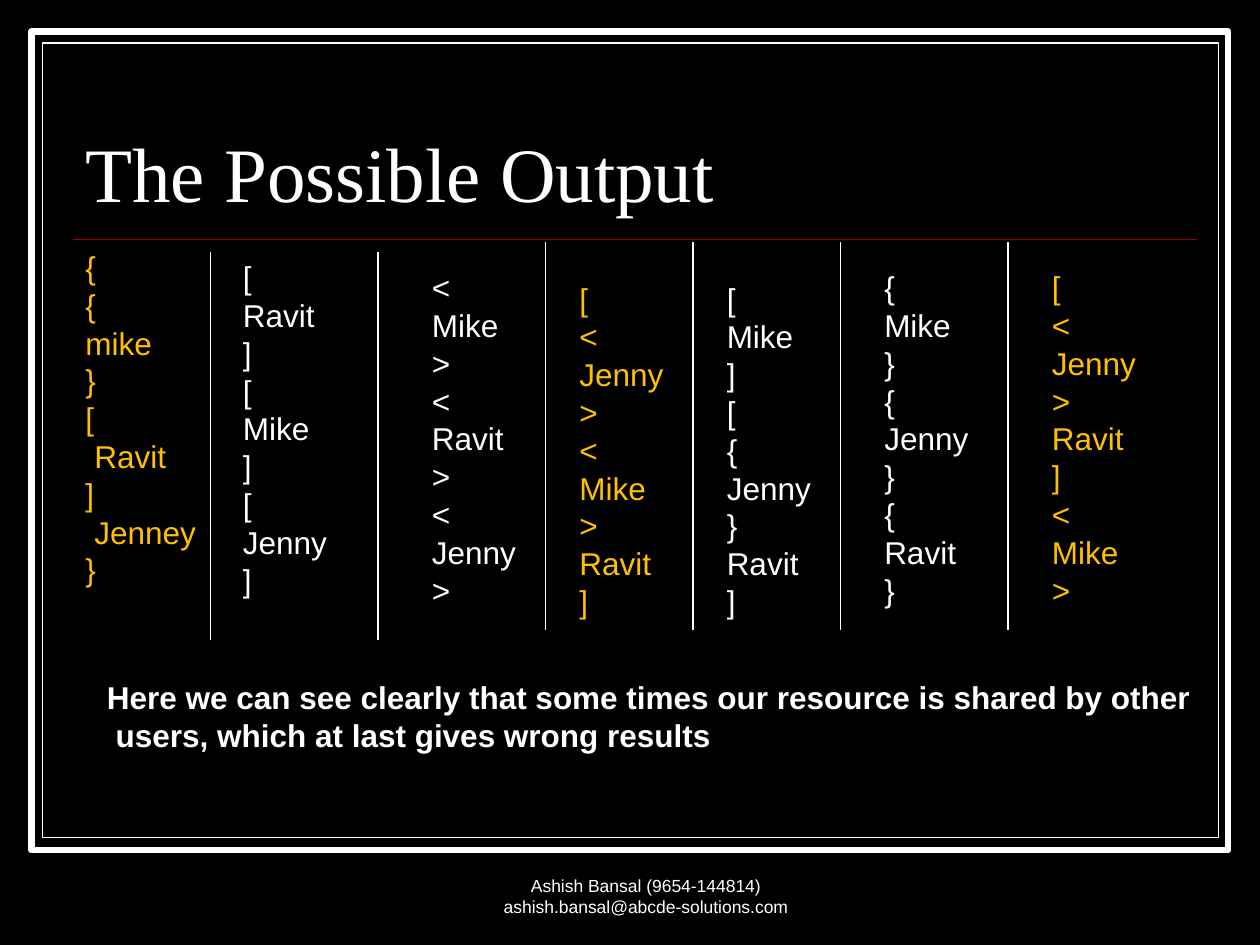
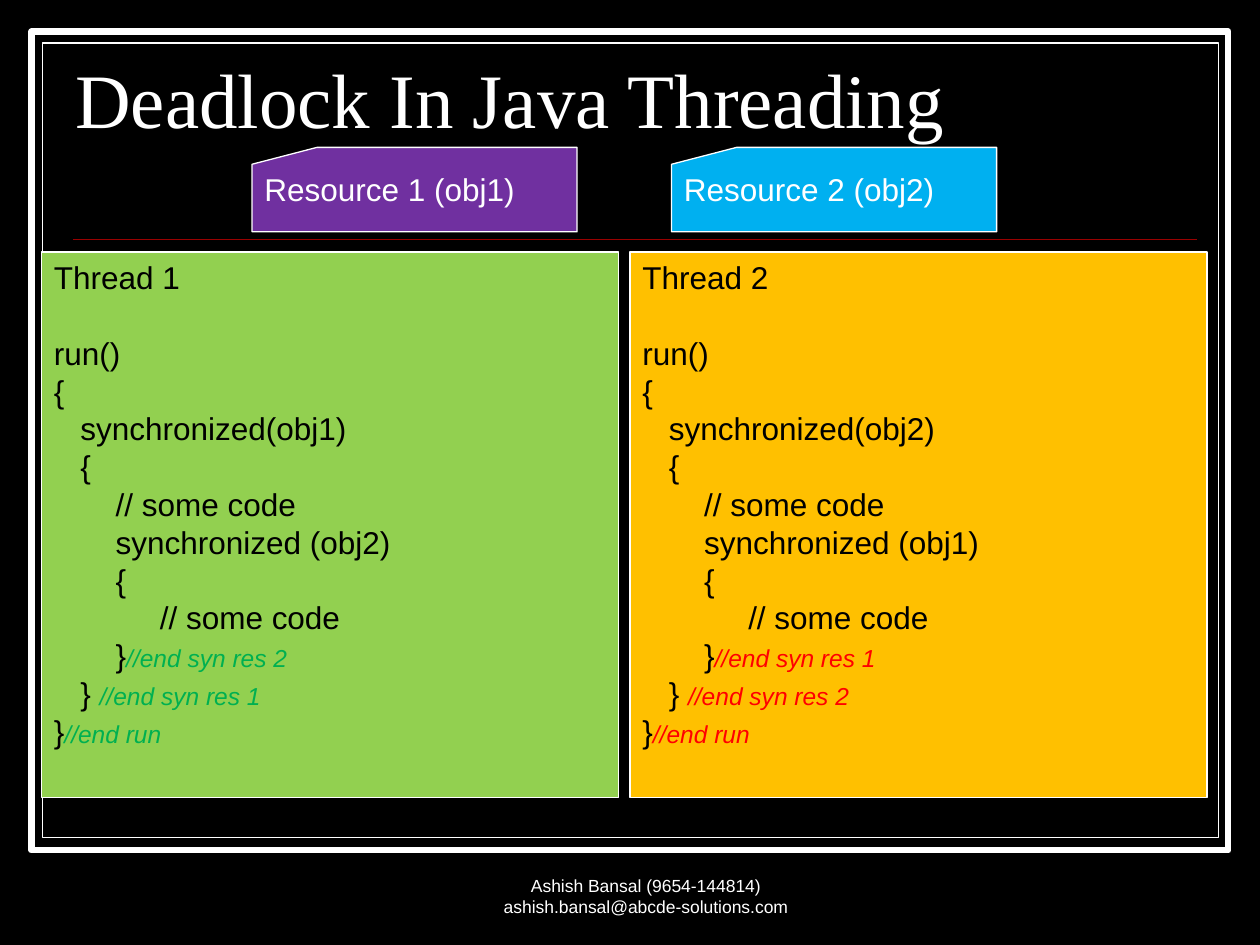
"""Build two slides on shared resources and deadlock in Java threading."""
from dataclasses import dataclass

from lxml import etree
from pptx import Presentation
from pptx.dml.color import RGBColor
from pptx.enum import shapes, text
from pptx.oxml.ns import qn
from pptx.util import Inches, Pt

BLACK, WHITE, RULE_RED, AMBER = "000000", "FFFFFF", "990000", "FFC000"
BODY_FONT, TITLE_FONT = "Arial", "Times New Roman"
BODY_SIZE, COMMENT_SIZE = 18, 14
SPACE_WIDTH = 0.07
FOOTER = "Ashish Bansal (9654-144814) ashish.bansal@abcde-solutions.com"


@dataclass(frozen=True)
class Box:
    left: float
    top: float
    width: float
    height: float

    def lengths(self):
        return [Inches(side) for side in (self.left, self.top, self.width, self.height)]


@dataclass(frozen=True)
class Style:
    size: float = BODY_SIZE
    color: str = WHITE
    font: str = BODY_FONT
    bold: bool = False
    italic: bool = False


@dataclass(frozen=True)
class Line:
    content: str
    spaces: int = 0
    comment: str = ""
    gap_after: float = 0


@dataclass(frozen=True)
class Output:
    left: float
    top: float
    width: float
    tokens: str
    color: str = WHITE
    indented: tuple = ()


@dataclass(frozen=True)
class Divider:
    x: float
    top: float


@dataclass(frozen=True)
class Thread:
    number: int
    other: int
    left: float
    card_left: float
    fill: str
    card_fill: str
    comment_color: str


OUTPUTS = [
    Output(0.58, 1.92, 1.25, "{ { mike } [ Ravit ] Jenney }", AMBER, ("Ravit", "Jenney")),
    Output(1.83, 2, 1, "[ Ravit ] [ Mike ] [ Jenny ]"),
    Output(3.33, 2.08, 1, "< Mike > < Ravit > < Jenny >"),
    Output(4.5, 2.17, 1.08, "[ < Jenny > < Mike > Ravit ]", AMBER),
    Output(5.67, 2.17, 1.17, "[ Mike ] [ { Jenny } Ravit ]"),
    Output(6.92, 2.08, 1.17, "{ Mike } { Jenny } { Ravit }"),
    Output(8.25, 2.08, 1.25, "[ < Jenny > Ravit ] < Mike >", AMBER),
]
DIVIDERS = [
    Divider(1.67, 2), Divider(3, 2), Divider(4.33, 1.92),
    Divider(5.5, 1.92), Divider(6.67, 1.92), Divider(8, 1.92),
]
THREADS = [
    Thread(1, 2, 0.33, 2, "92D050", "7030A0", "00B050"),
    Thread(2, 1, 5, 5.33, AMBER, "00B0F0", "FF0000"),
]


def rgb(value: str) -> RGBColor:
    return RGBColor.from_string(value)


def add_run(paragraph, content: str, style: Style) -> None:
    run = paragraph.add_run()
    run.text = content
    run.font.size = Pt(style.size)
    run.font.name = style.font
    run.font.bold = style.bold
    run.font.italic = style.italic
    run.font.color.rgb = rgb(style.color)


def write(frame, lines: list, style: Style, comment_style: Style = Style(),
          anchor=text.MSO_ANCHOR.TOP, align=text.PP_ALIGN.LEFT,
          spacing: float = 1.0, wrap: bool = True) -> None:
    frame.word_wrap = wrap
    frame.vertical_anchor = anchor
    for index, line in enumerate(lines):
        paragraph = frame.add_paragraph() if index else frame.paragraphs[0]
        paragraph.alignment = align
        if spacing != 1:
            paragraph.line_spacing = spacing
        if line.gap_after:
            paragraph.space_after = Pt(line.gap_after)
        if line.spaces:
            paragraph._p.get_or_add_pPr().set("marL", str(Inches(line.spaces * SPACE_WIDTH)))
        add_run(paragraph, line.content, style)
        if line.comment:
            add_run(paragraph, line.comment, comment_style)


def add_text(slide, box: Box, lines: list, style: Style, **options) -> None:
    write(slide.shapes.add_textbox(*box.lengths()).text_frame, lines, style, **options)


def add_panel(slide, box: Box, fill: str, weight: float = 0.75,
              preset=shapes.MSO_SHAPE.RECTANGLE):
    panel = slide.shapes.add_shape(preset, *box.lengths())
    panel.shadow.inherit = False
    panel.fill.solid()
    panel.fill.fore_color.rgb = rgb(fill)
    panel.line.color.rgb = rgb(WHITE)
    panel.line.width = Pt(weight)
    return panel


def add_rule(slide, start: tuple, end: tuple, color: str, weight: float) -> None:
    ends = [Inches(value) for value in (*start, *end)]
    rule = slide.shapes.add_connector(shapes.MSO_CONNECTOR.STRAIGHT, *ends)
    rule.line.color.rgb = rgb(color)
    rule.line.width = Pt(weight)
    etree.SubElement(rule._element.spPr, qn("a:effectLst"))


def start_slide(deck, title: str, title_box: Box):
    slide = deck.slides.add_slide(deck.slide_layouts[6])
    slide.background.fill.solid()
    slide.background.fill.fore_color.rgb = rgb(BLACK)
    add_panel(slide, Box(0.25, 0.25, 9.5, 6.5), BLACK, 3.5)
    add_panel(slide, Box(0.34, 0.34, 9.33, 6.31), BLACK)
    add_rule(slide, (0.58, 1.9), (9.5, 1.9), RULE_RED, 1)
    add_text(slide, title_box, [Line(title)], Style(44, font=TITLE_FONT),
             anchor=text.MSO_ANCHOR.BOTTOM, spacing=0.8)
    add_text(slide, Box(3.54, 6.83, 3.17, 0.5), [Line(FOOTER)], Style(10),
             anchor=text.MSO_ANCHOR.BOTTOM, align=text.PP_ALIGN.CENTER)
    return slide


def thread_code(thread: Thread) -> list:
    own, other = thread.number, thread.other
    return [
        Line(f"Thread {own}", gap_after=21.6),
        Line("run()"),
        Line("{"),
        Line(f"synchronized(obj{own})", 3),
        Line("{", 3),
        Line("// some code", 7),
        Line(f"synchronized (obj{other})", 7),
        Line("{", 7),
        Line("// some code", 12),
        Line("}", 7, f"//end syn res {other}"),
        Line("} ", 3, f"//end syn res {own}"),
        Line("}", 0, "//end run"),
    ]


def build_output_slide(deck) -> None:
    slide = start_slide(deck, "The Possible Output", Box(0.58, 0.52, 8.92, 1.25))
    for output in OUTPUTS:
        lines = [Line(token, int(token in output.indented)) for token in output.tokens.split()]
        add_text(slide, Box(output.left, output.top, output.width, 2.83), lines,
                 Style(color=output.color))
    conclusion = [
        Line("Here we can see clearly that some times our resource is shared by other"),
        Line("users, which at last gives wrong results", 1),
    ]
    add_text(slide, Box(0.75, 5.33, 8.88, 0.71), conclusion, Style(bold=True), wrap=False)
    for divider in DIVIDERS:
        add_rule(slide, (divider.x, divider.top), (divider.x, divider.top + 3.08), WHITE, 0.75)


def build_deadlock_slide(deck) -> None:
    slide = start_slide(deck, "Deadlock In Java Threading", Box(0.5, 0.42, 8.92, 0.77))
    for thread in THREADS:
        code = add_panel(slide, Box(thread.left, 2, 4.58, 4.33), thread.fill)
        write(code.text_frame, thread_code(thread), Style(color=BLACK),
              Style(COMMENT_SIZE, thread.comment_color, italic=True))
        card = add_panel(slide, Box(thread.card_left, 1.17, 2.58, 0.67), thread.card_fill,
                         preset=shapes.MSO_SHAPE.FLOWCHART_CARD)
        write(card.text_frame, [Line(f"Resource {thread.number} (obj{thread.number})")], Style())


def main() -> None:
    deck = Presentation()
    deck.slide_width, deck.slide_height = Inches(10), Inches(7.5)
    build_output_slide(deck)
    build_deadlock_slide(deck)
    deck.save("out.pptx")


main()
